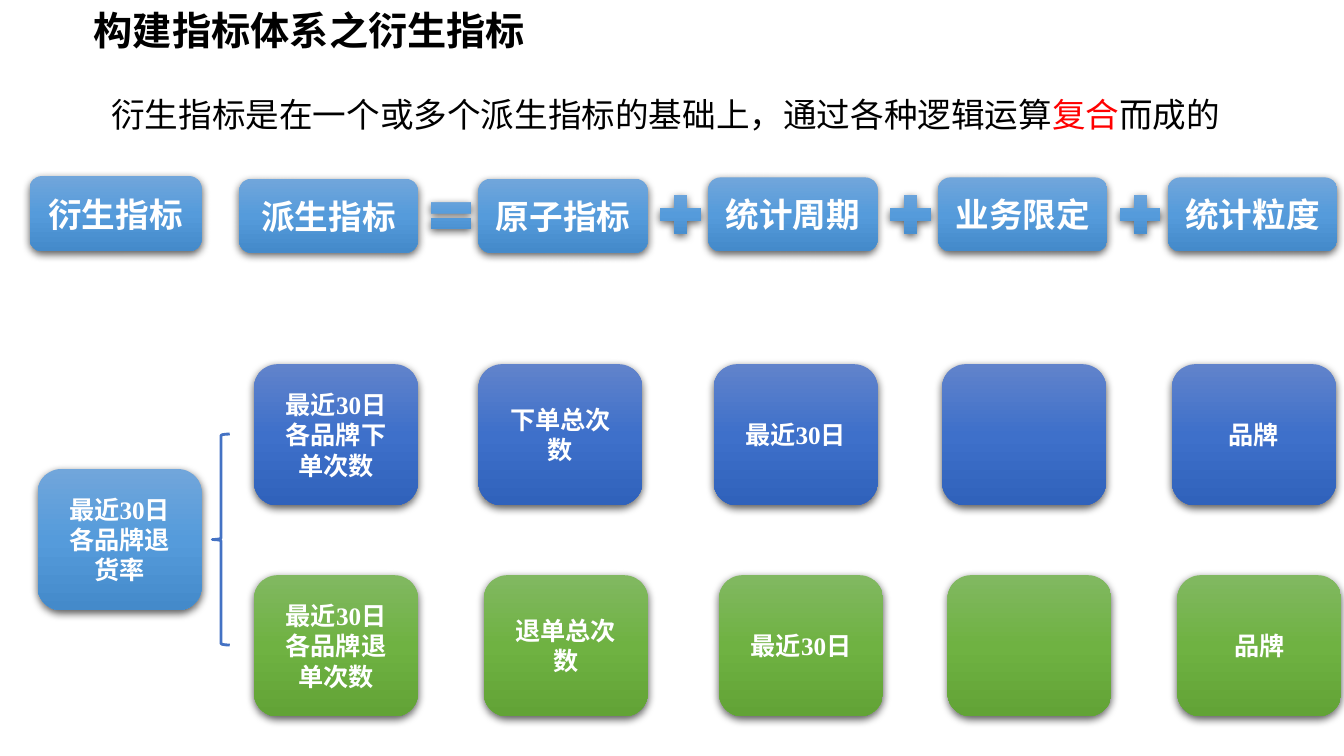
from copy import deepcopy

from lxml import etree
from pptx import Presentation
from pptx.dml.color import RGBColor
from pptx.enum.shapes import MSO_SHAPE
from pptx.enum.text import MSO_ANCHOR, MSO_AUTO_SIZE, PP_ALIGN
from pptx.oxml.ns import qn
from pptx.util import Inches, Pt

ROUNDED = MSO_SHAPE.ROUNDED_RECTANGLE
EQUAL = MSO_SHAPE.MATH_EQUAL
PLUS = MSO_SHAPE.MATH_PLUS
BRACE = MSO_SHAPE.LEFT_BRACE
MIDDLE = MSO_ANCHOR.MIDDLE
FIT_SHAPE = MSO_AUTO_SIZE.SHAPE_TO_FIT_TEXT
CENTER = PP_ALIGN.CENTER

COLORS = {"black": "000000", "white": "FFFFFF", "red": "FF0000", "brace": "4472C4"}
GRADIENTS = {
    "sky": ("71A6DB", "559BDB", "448ACA"),
    "blue": ("6183CB", "3E70CA", "3062BB"),
    "green": ("81B861", "6FB242", "62A336"),
}
HEADING_FONT = "Arial"
CARD_FONT = "Times New Roman"


def style_run(run, font, size, color, bold):
    run.font.name = font
    run.font.size = Pt(size)
    run.font.bold = bold
    run.font.color.rgb = RGBColor.from_string(COLORS[color])


def add_text(slide, box, parts, size, bold=False):
    """Place a one-line text made of (wording, colour) parts."""
    textbox = slide.shapes.add_textbox(*map(Inches, box))
    frame = textbox.text_frame
    frame.word_wrap = True
    frame.auto_size = FIT_SHAPE
    for wording, color in parts:
        run = frame.paragraphs[0].add_run()
        run.text = wording
        style_run(run, HEADING_FONT, size, color, bold)


def fill_gradient(shape, palette):
    shape.fill.gradient()
    shape.fill.gradient_angle = 270
    stop_list = shape._element.spPr.find(".//" + qn("a:gsLst"))
    stop_list.append(deepcopy(stop_list[-1]))
    for stop, color, position in zip(shape.fill.gradient_stops, GRADIENTS[palette], (0, 0.5, 1)):
        stop.color.rgb = RGBColor.from_string(color)
        stop.position = position


def drop_shadow(shape):
    shape.shadow.inherit = False
    effects = shape._element.spPr.find(qn("a:effectLst"))
    shadow = etree.SubElement(effects, qn("a:outerShdw"), blurRad=str(Pt(4.5)),
                              dist=str(Pt(1.5)), dir="5400000", algn="ctr", rotWithShape="0")
    color = etree.SubElement(shadow, qn("a:srgbClr"), val=COLORS["black"])
    etree.SubElement(color, qn("a:alpha"), val="63000")


def add_raised(slide, kind, box, palette):
    shape = slide.shapes.add_shape(kind, *map(Inches, box))
    fill_gradient(shape, palette)
    shape.line.fill.background()
    drop_shadow(shape)
    return shape


def add_label(slide, box, palette, wording, font, size, wrap=True):
    """Place a rounded box with centred white wording."""
    label = add_raised(slide, ROUNDED, box, palette)
    if not wording:
        return
    frame = label.text_frame
    frame.text = wording
    frame.word_wrap = wrap
    frame.vertical_anchor = MIDDLE
    paragraph = frame.paragraphs[0]
    paragraph.alignment = CENTER
    style_run(paragraph.runs[0], font, size, "white", True)


def add_header(slide, box, wording):
    add_label(slide, box, "sky", wording, HEADING_FONT, 18, wrap=False)


def add_card(slide, left, top, palette, wording):
    add_label(slide, (left, top, 1.22, 1.05), palette, wording, CARD_FONT, 13.5)


def add_formula(slide):
    add_header(slide, (0.22, 1.31, 1.28, 0.56), "衍生指标")
    add_header(slide, (1.78, 1.33, 1.33, 0.55), "派生指标")
    for index, term in enumerate(("原子指标", "统计周期", "业务限定", "统计粒度")):
        left = 3.56 + 1.71 * index
        if index == 0:
            top, operator, operator_top, operator_height = 1.33, EQUAL, 1.44, 0.33
        else:
            top, operator, operator_top, operator_height = 1.32, PLUS, 1.4, 0.39
        add_raised(slide, operator, (left - 0.41, operator_top, 0.41, operator_height), "sky")
        add_header(slide, (left, top, 1.26, 0.55), term)


def add_brace(slide):
    brace = slide.shapes.add_shape(BRACE, *map(Inches, (1.58, 3.23, 0.13, 1.57)))
    brace.shadow.inherit = False
    brace.fill.background()
    brace.line.color.rgb = RGBColor.from_string(COLORS["brace"])
    brace.line.width = Pt(1.5)


def add_example(slide):
    add_card(slide, 0.28, 3.49, "sky", "最近30日各品牌退货率")
    add_brace(slide)
    rows = (
        (2.71, "blue", 0, ("最近30日各品牌下单次数", "下单总次数")),
        (4.28, "green", 0.04, ("最近30日各品牌退单次数", "退单总次数")),
    )
    for top, palette, shift, (derived, atomic) in rows:
        add_card(slide, 1.89, top, palette, derived)
        terms = (atomic, "最近30日", "", "品牌")
        for left, term in zip((3.56, 5.31, 7.01, 8.72), terms):
            add_card(slide, left + shift, top, palette, term)


def main():
    # Wide 16:9 slide
    deck = Presentation()
    deck.slide_width = Inches(10)
    deck.slide_height = deck.slide_width * 9 // 16
    slide = deck.slides.add_slide(deck.slide_layouts[6])

    # Title and definition
    add_text(slide, (0.6, 0, 4.27, 0.45), [("构建指标体系之衍生指标", "black")], 21, bold=True)
    definition = [
        ("衍生指标是在一个或多个派生指标的基础上，通过各种逻辑运算", "black"),
        ("复合", "red"),
        ("而成的", "black"),
    ]
    add_text(slide, (0.73, 0.65, 8.53, 0.4), definition, 18)

    # Formula row, then the worked example below it
    add_formula(slide)
    add_example(slide)

    deck.save("out.pptx")


main()
